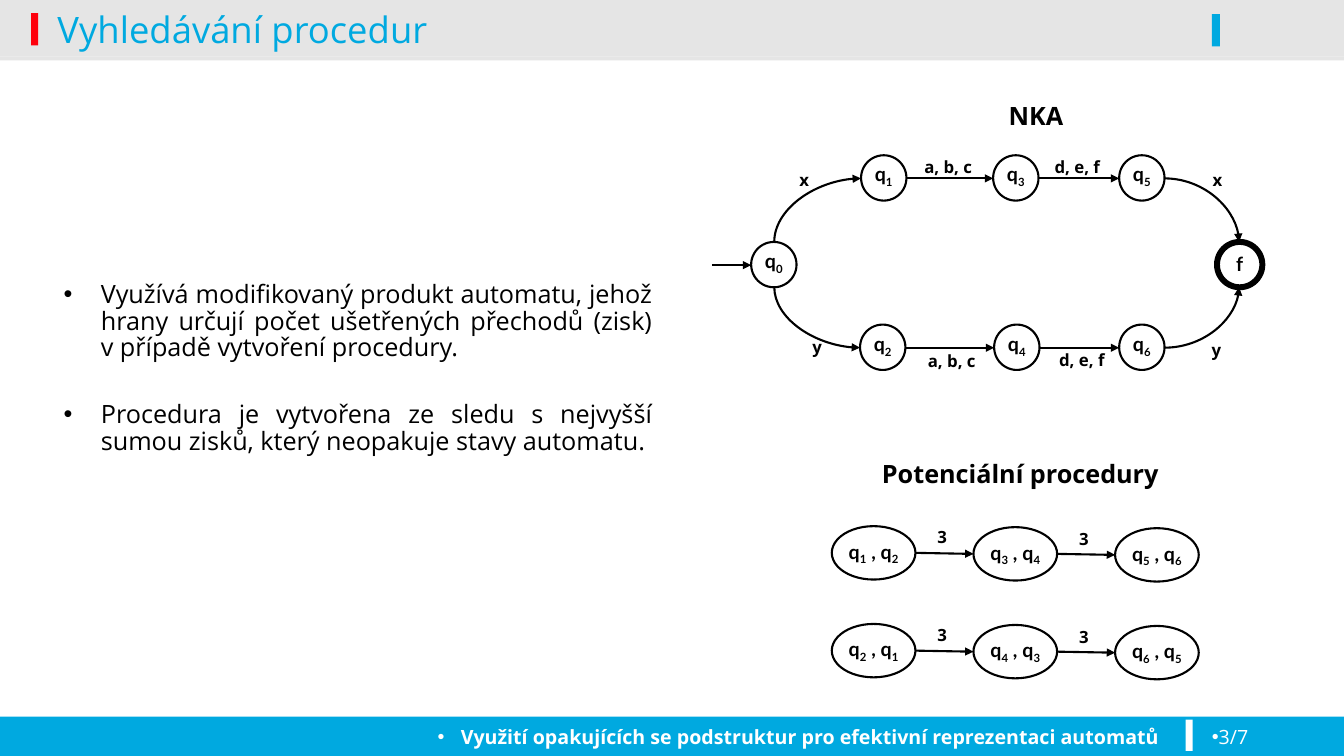
"""Build the slide on procedure search with its automaton and candidate procedures."""
from itertools import groupby
from lxml.etree import SubElement
from pptx import Presentation
from pptx.dml.color import RGBColor
from pptx.enum.shapes import MSO_CONNECTOR as CONNECTOR, MSO_SHAPE as SHAPE
from pptx.enum.text import MSO_ANCHOR as ANCHOR, PP_ALIGN as ALIGN
from pptx.oxml.ns import qn
from pptx.util import Inches, Pt

BLACK, WHITE, BLUE, RED, GREY = "000000", "FFFFFF", "00A9E0", "FE000C", "E5E5E5"


def paint(target, color):
    """Give a fill, line or font a solid colour from a hex string."""
    if hasattr(target, "solid"):
        target.solid()
        target.fore_color.rgb = RGBColor.from_string(color)
    else:
        target.color.rgb = RGBColor.from_string(color)


def write(paragraph, text, size, color=BLACK, bullet=None, **font_format):
    """Fill a paragraph, lowering digits in Lato state names; bullet is its indent."""
    values = {"name": "Open Sans", "size": Pt(size), "bold": False, **font_format}
    states = values["name"] == "Lato"
    parts = groupby(text, str.isdigit) if states else [(False, text)]
    for lowered, characters in parts:
        run = paragraph.add_run()
        run.text = "".join(characters)
        for name, value in values.items():
            setattr(run.font, name, value)
        paint(run.font, color)
        if lowered:
            run.font._element.set("baseline", "-25000")
    if bullet is not None:
        properties = paragraph._p.get_or_add_pPr()
        properties.set("marL", str(Inches(bullet)))
        properties.set("indent", str(-Inches(bullet)))
        SubElement(properties, qn("a:buFont"), typeface="Arial")
        SubElement(properties, qn("a:buChar"), char="•")


presentation = Presentation()
presentation.slide_width, presentation.slide_height = Inches(13.33), Inches(7.5)
slide = presentation.slides.add_slide(presentation.slide_layouts[1])
shapes = slide.shapes
title, body = shapes.title, slide.placeholders[1]

bars = [
    (0, 7.11, 13.33, 0.39, BLUE),
    (0, 0.56, 13.33, 0.04, GREY),
    (0, 0, 13.33, 0.56, GREY),
    (0.31, 0.13, 0.07, 0.32, RED),
    (11.76, 7.14, 0.07, 0.31, WHITE),
    (12.02, 0.14, 0.08, 0.32, BLUE),
]
for *box, color in bars:
    bar = shapes.add_shape(SHAPE.RECTANGLE, *map(Inches, box))
    bar.shadow.inherit = False
    paint(bar.fill, color)
    bar.line.fill.background()

placeholders = [
    (title, (0.47, -0.11, 11.5, 0.79), ANCHOR.MIDDLE),
    (body, (0.53, 2.75, 6.04, 1.76), ANCHOR.TOP),
]
for placeholder, box, anchor in placeholders:
    shapes._spTree.append(placeholder._element)
    for name, value in zip(("left", "top", "width", "height"), box):
        setattr(placeholder, name, Inches(value))
    placeholder.text_frame.vertical_anchor = anchor
    placeholder.text_frame.word_wrap = True
title.text_frame.paragraphs[0].alignment = ALIGN.LEFT
write(title.text_frame.paragraphs[0], "Vyhledávání procedur", 26, BLUE)

points = [
    ("Využívá modifikovaný produkt automatu, jehož hrany určují počet ušetřených "
     "přechodů (zisk) v\u00a0případě vytvoření procedury.", 3.6),
    ("Procedura je vytvořena ze sledu s nejvyšší sumou zisků, který neopakuje "
     "stavy automatu.", 29),
]
body.text_frame.add_paragraph()
for paragraph, (text, space) in zip(body.text_frame.paragraphs, points):
    paragraph.alignment = ALIGN.JUSTIFY
    paragraph.line_spacing = 0.88
    paragraph.space_before = Pt(space)
    write(paragraph, text, 18, bullet=0.37)

nodes = [
    ("q0", 7.45, 2.4), ("q1", 8.54, 1.54), ("q3", 9.85, 1.54), ("q5", 11.1, 1.54),
    ("f", 12.07, 2.4), ("q2", 8.53, 3.22), ("q4", 9.86, 3.22), ("q6", 11.1, 3.22),
]
ellipses = [(*node, 0.45, 0.45, ANCHOR.BOTTOM) for node in nodes]
arrows = [(7.06, 2.63, 7.45, 2.63)]
for y, stops in [(1.77, (8.99, 9.85, 10.3, 11.1)), (3.45, (8.98, 9.86, 10.31, 11.1))]:
    arrows += [(start, y, end, y) for start, end in zip(stops[::2], stops[1::2])]

labels = [
    ("NKA", 9.73, 0.95, 1.09, 18), ("Potenciální procedury", 8.61, 4.5, 3.02, 18),
    ("a, b, c", 8.99, 1.51, 0.83, 12), ("a, b, c", 9, 3.43, 0.88, 12),
    ("d, e, f", 10.27, 1.51, 0.83, 12), ("d, e, f", 10.29, 3.42, 0.88, 12),
    ("x", 7.83, 1.63, 0.27, 12), ("y", 7.96, 3.29, 0.27, 12),
    ("x", 11.93, 1.63, 0.27, 12), ("y", 11.92, 3.32, 0.27, 12),
]
procedures = [
    (5.22, ("q1 , q2", "q3 , q4", "q5 , q6")),
    (6.19, ("q2 , q1", "q4 , q3", "q6 , q5")),
]
for top, pairs in procedures:
    for column, pair in enumerate(pairs):
        left, y = 8.25 + 1.405 * column, top + 0.01 * column
        ellipses.append((pair, left, y, 0.83, 0.53, ANCHOR.MIDDLE))
        if column < 2:
            arrows.append((left + 0.83, y + 0.265, left + 1.405, y + 0.275))
            labels.append(("3", left + 0.95, y - 0.04 + 0.01 * column, 0.27, 12))

for text, left, top, width, height, anchor in ellipses:
    ellipse = shapes.add_shape(SHAPE.OVAL, *map(Inches, (left, top, width, height)))
    ellipse.shadow.inherit = False
    paint(ellipse.fill, WHITE)
    paint(ellipse.line, BLACK)
    ellipse.line.width = Pt(4.25 if text == "f" else 1.5)
    frame = ellipse.text_frame
    frame.margin_left = frame.margin_right = 0
    frame.vertical_anchor, frame.word_wrap = anchor, False
    frame.paragraphs[0].alignment = ALIGN.CENTER
    write(frame.paragraphs[0], text, 14, name="Lato", bold=True)

curves = [
    (8.54, 1.77, 7.68, 2.4, "headEnd"), (8.53, 3.45, 7.68, 2.85, "headEnd"),
    (11.55, 1.77, 12.29, 2.4, "tailEnd"), (11.55, 3.45, 12.29, 2.85, "tailEnd"),
]
edges = [(CONNECTOR.STRAIGHT, *arrow, "tailEnd") for arrow in arrows]
edges += [(CONNECTOR.CURVE, *curve) for curve in curves]
for kind, *ends, arrow_end in edges:
    edge = shapes.add_connector(kind, *map(Inches, ends))
    paint(edge.line, BLACK)
    edge.line.width = Pt(1.5)
    SubElement(edge.line._get_or_add_ln(), qn("a:" + arrow_end), type="triangle")
    properties = edge._element.spPr
    SubElement(properties, qn("a:effectLst"))
    if kind == CONNECTOR.CURVE:
        properties.find(qn("a:prstGeom")).set("prst", "curvedConnector2")

for text, left, top, width, size in labels:
    label = shapes.add_textbox(*map(Inches, (left, top, width, 0.3 if size == 12 else 0.4)))
    label.text_frame.word_wrap = False
    label.text_frame.paragraphs[0].alignment = ALIGN.CENTER
    write(label.text_frame.paragraphs[0], text, size, bold=True)

footers = [
    ("Využití opakujících se podstruktur pro efektivní reprezentaci automatů",
     0.16, 11.44, ALIGN.RIGHT, 0.23, True),
    ("3/7", 11.92, 1.21, ALIGN.LEFT, 0, False),
]
for text, left, width, alignment, indent, bold in footers:
    footer = shapes.add_textbox(*map(Inches, (left, 7.14, width, 0.36)))
    footer.text_frame.word_wrap = True
    footer.text_frame.paragraphs[0].alignment = alignment
    write(footer.text_frame.paragraphs[0], text, 14, WHITE, indent, bold=bold)

presentation.save("out.pptx")
